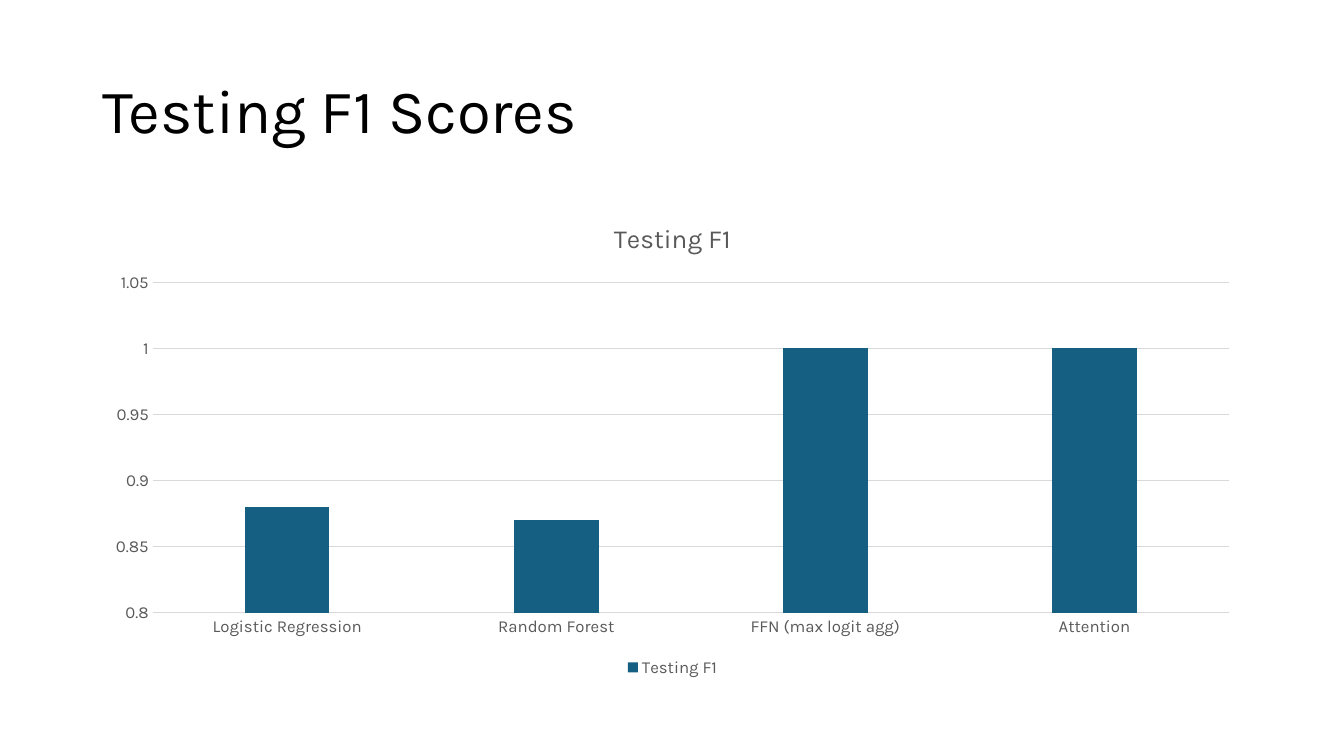
from pptx import Presentation
from pptx.chart.data import CategoryChartData
from pptx.dml.color import RGBColor
from pptx.enum.chart import XL_CHART_TYPE, XL_LEGEND_POSITION, XL_TICK_MARK
from pptx.enum.text import MSO_ANCHOR
from pptx.util import Inches, Pt

FONT = "Karla"
COLORS = {"title": "000000", "label": "595959", "grid": "D9D9D9", "bar": "156082"}
SCORES = {
    "Logistic Regression": 0.88,
    "Random Forest": 0.87,
    "FFN (max logit agg)": 1,
    "Attention": 1,
}


def color(name):
    return RGBColor.from_string(COLORS[name])


def style_font(font, size, color_name):
    font.name = FONT
    font.size = Pt(size)
    font.bold = False
    font.color.rgb = color(color_name)


def style_line(line):
    line.color.rgb = color("grid")
    line.width = Pt(0.75)


def add_title(s, text):
    tf = s.shapes.add_textbox(Inches(0.92), Inches(0.4), Inches(11.5), Inches(1.45)).text_frame
    tf.word_wrap = True
    tf.vertical_anchor = MSO_ANCHOR.MIDDLE
    tf.text = text
    p = tf.paragraphs[0]
    p.line_spacing = 0.9
    style_font(p.runs[0].font, 44, "title")


def style_axes(chart):
    for axis in (chart.category_axis, chart.value_axis):
        axis.major_tick_mark = axis.minor_tick_mark = XL_TICK_MARK.NONE
        style_font(axis.tick_labels.font, 12, "label")
    style_line(chart.category_axis.format.line)

    scores = chart.value_axis
    scores.minimum_scale, scores.maximum_scale, scores.major_unit = 0.8, 1.05, 0.05
    scores.tick_labels.number_format = "General"
    scores.tick_labels.number_format_is_linked = False
    scores.format.line.fill.background()
    scores.has_major_gridlines = True
    style_line(scores.major_gridlines.format.line)


def add_score_chart(s, name, scores):
    data = CategoryChartData()
    data.categories = list(scores)
    data.add_series(name, list(scores.values()))
    chart = s.shapes.add_chart(
        XL_CHART_TYPE.COLUMN_CLUSTERED,
        Inches(0.92), Inches(2), Inches(11.5), Inches(4.76), data,
    ).chart
    style_font(chart.font, 10, "title")

    chart.has_title = True
    tf = chart.chart_title.text_frame
    tf.text = name
    style_font(tf.paragraphs[0].runs[0].font, 18.6, "label")
    chart.chart_title.include_in_layout = False

    chart.has_legend = True
    chart.legend.position = XL_LEGEND_POSITION.BOTTOM
    chart.legend.include_in_layout = False
    style_font(chart.legend.font, 12, "label")

    style_axes(chart)
    plot = chart.plots[0]
    plot.vary_by_categories = False
    plot.gap_width = 219
    plot.overlap = -27
    bars = plot.series[0]
    bars.invert_if_negative = False
    bars.format.fill.solid()
    bars.format.fill.fore_color.rgb = color("bar")


def main():
    prs = Presentation()
    prs.slide_width, prs.slide_height = Inches(13.33), Inches(7.5)
    s = prs.slides.add_slide(prs.slide_layouts[6])
    add_title(s, "Testing F1 Scores")
    add_score_chart(s, "Testing F1", SCORES)
    prs.save("out.pptx")


if __name__ == "__main__":
    main()
